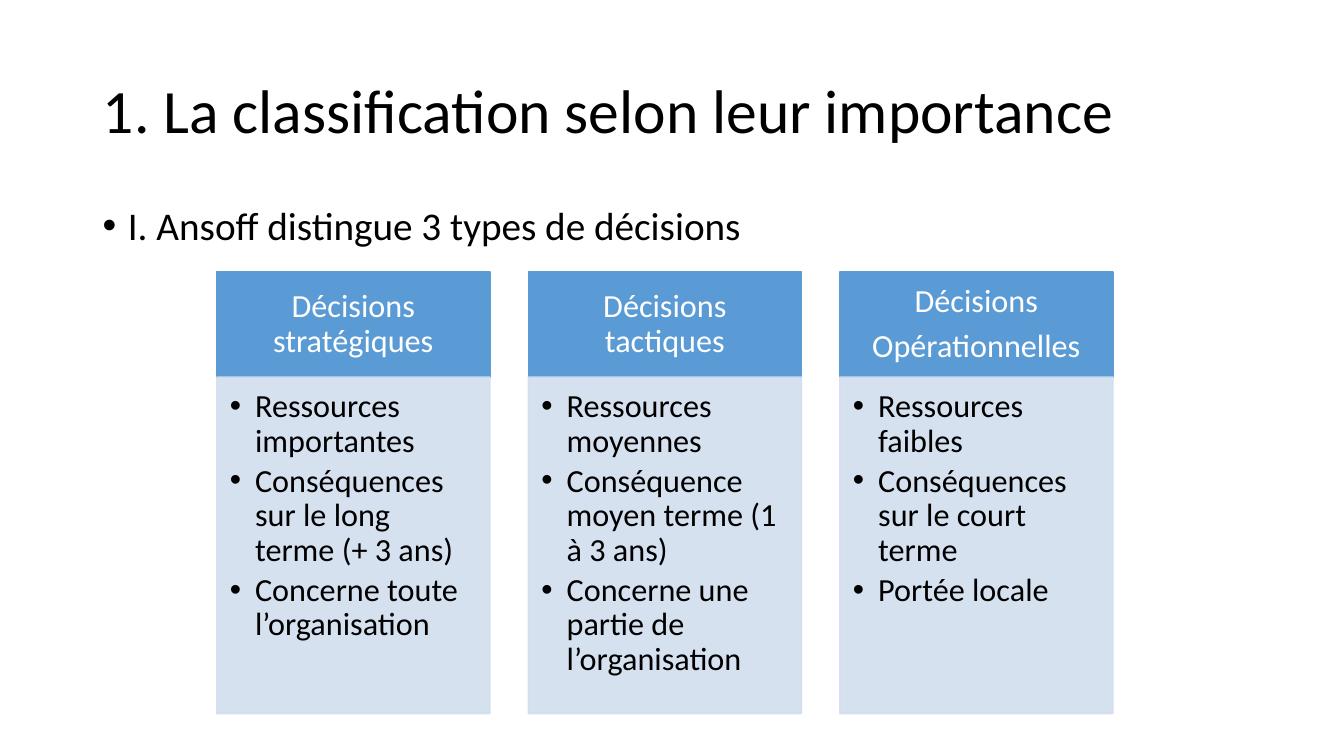
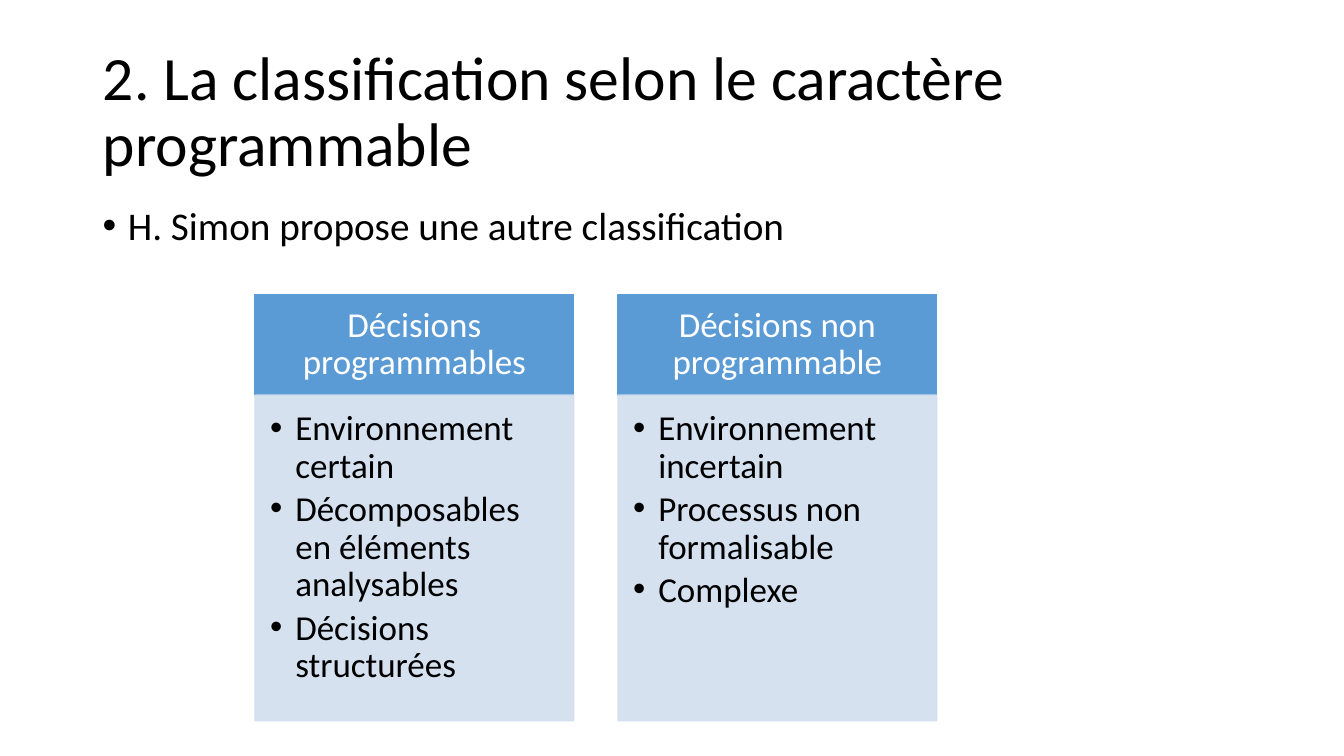
from dataclasses import dataclass

from lxml.etree import SubElement
from pptx import Presentation
from pptx.dml.color import RGBColor
from pptx.dml.fill import FillFormat
from pptx.enum.shapes import MSO_SHAPE as Shape
from pptx.enum.text import MSO_ANCHOR as Anchor, MSO_AUTO_SIZE as AutoSize, PP_ALIGN as Align
from pptx.oxml.ns import qn
from pptx.presentation import Presentation as PresentationType
from pptx.slide import Slide
from pptx.text.text import TextFrame, _Paragraph as Paragraph
from pptx.util import Inches, Pt

COLORS = {"text": "000000", "header": "5B9BD5", "header_text": "FFFFFF", "body": "D2DEEF"}
FONT = "Calibri"
LINE_SPACING = 0.9
BULLET_INDENT = 0.25
BODY_OPACITY = 90
LEFT, WIDTH = 0.92, 11.5


@dataclass(frozen=True)
class Column:
    header: list[str]
    points: list[str]


@dataclass(frozen=True)
class Grid:
    left: float
    top: float
    pitch: float
    width: float
    header_height: float
    body_height: float
    font_size: int
    header_insets: tuple[float, float, float, float]
    body_insets: tuple[float, float, float, float]


@dataclass(frozen=True)
class Topic:
    title: str
    statement: str
    grid: Grid
    columns: list[Column]


TOPICS = [
    Topic(
        "1. La classification selon leur importance",
        "I. Ansoff distingue 3 types de décisions",
        Grid(2.15, 2.7, 3.09, 2.71, 1.04, 3.34, 23,
             (0.18, 0.1, 0.18, 0.1), (0.13, 0.13, 0.18, 0.2)),
        [
            Column(["Décisions stratégiques"],
                   ["Ressources importantes", "Conséquences sur le long terme (+ 3 ans)",
                    "Concerne toute l’organisation"]),
            Column(["Décisions tactiques"],
                   ["Ressources moyennes", "Conséquence moyen terme (1 à 3 ans)",
                    "Concerne une partie de l’organisation"]),
            Column(["Décisions", "Opérationnelles"],
                   ["Ressources faibles", "Conséquences sur le court terme", "Portée locale"]),
        ],
    ),
    Topic(
        "2. La classification selon le caractère programmable",
        "H. Simon propose une autre classification",
        Grid(2.53, 2.92, 3.6, 3.16, 1, 3.23, 25,
             (0.19, 0.11, 0.19, 0.11), (0.15, 0.15, 0.19, 0.22)),
        [
            Column(["Décisions programmables"],
                   ["Environnement certain", "Décomposables en éléments analysables",
                    "Décisions structurées"]),
            Column(["Décisions non programmable"],
                   ["Environnement incertain", "Processus non formalisable", "Complexe"]),
        ],
    ),
]


def add_bullet(paragraph: Paragraph) -> None:
    properties = paragraph._p.get_or_add_pPr()
    properties.set("marL", str(Inches(BULLET_INDENT)))
    properties.set("indent", str(-Inches(BULLET_INDENT)))
    SubElement(properties, qn("a:buFont")).set("typeface", "Arial")
    SubElement(properties, qn("a:buChar")).set("char", "•")


def write_paragraphs(frame: TextFrame, texts: list[str], size: int, color: str = "text",
                     align: Align = Align.LEFT, bullet: bool = False,
                     space_after: float = 0) -> None:
    frame.word_wrap = True
    frame.auto_size = AutoSize.NONE
    for index, text in enumerate(texts):
        paragraph = frame.add_paragraph() if index else frame.paragraphs[0]
        paragraph.text = text
        if bullet:
            add_bullet(paragraph)
        paragraph.alignment = align
        paragraph.line_spacing = LINE_SPACING
        paragraph.space_before = Pt(0)
        paragraph.space_after = Pt(round(size * space_after, 1))
        paragraph.font.name = FONT
        paragraph.font.size = Pt(size)
        paragraph.font.color.rgb = RGBColor.from_string(COLORS[color])


def apply_color(fill: FillFormat, color: str, opacity: int) -> None:
    fill.solid()
    fill.fore_color.rgb = RGBColor.from_string(COLORS[color])
    if opacity < 100:
        color_element = fill._xPr.find(qn("a:solidFill"))[0]
        SubElement(color_element, qn("a:alpha")).set("val", str(opacity * 1000))


def add_panel(slide: Slide, left: float, top: float, width: float, height: float, color: str,
              insets: tuple[float, float, float, float], anchor: Anchor,
              opacity: int = 100) -> TextFrame:
    shape = slide.shapes.add_shape(Shape.RECTANGLE, Inches(left), Inches(top),
                                   Inches(width), Inches(height))
    shape.shadow.inherit = False
    shape.line.width = Pt(1)
    for fill in (shape.fill, shape.line.fill):
        apply_color(fill, color, opacity)
    frame = shape.text_frame
    frame.vertical_anchor = anchor
    (frame.margin_left, frame.margin_top,
     frame.margin_right, frame.margin_bottom) = map(Inches, insets)
    return frame


def add_column(slide: Slide, grid: Grid, index: int, column: Column) -> None:
    left = grid.left + index * grid.pitch
    header = add_panel(slide, left, grid.top, grid.width, grid.header_height, "header",
                       grid.header_insets, Anchor.MIDDLE)
    write_paragraphs(header, column.header, grid.font_size, "header_text", Align.CENTER,
                     space_after=0.35)
    body = add_panel(slide, left, grid.top + grid.header_height, grid.width, grid.body_height,
                     "body", grid.body_insets, Anchor.TOP, BODY_OPACITY)
    write_paragraphs(body, column.points, grid.font_size, bullet=True, space_after=0.15)


def add_topic(presentation: PresentationType, topic: Topic) -> None:
    slide = presentation.slides.add_slide(presentation.slide_layouts[5])
    title = slide.shapes.title
    title.left, title.top = Inches(LEFT), Inches(0.4)
    title.width, title.height = Inches(WIDTH), Inches(1.45)
    title.text_frame.vertical_anchor = Anchor.MIDDLE
    write_paragraphs(title.text_frame, [topic.title], 44)
    statement = slide.shapes.add_textbox(Inches(LEFT), Inches(2), Inches(WIDTH), Inches(0.6))
    write_paragraphs(statement.text_frame, [topic.statement], 28, bullet=True)
    for index, column in enumerate(topic.columns):
        add_column(slide, topic.grid, index, column)


def main() -> None:
    presentation = Presentation()
    presentation.slide_width = Inches(13.33)
    presentation.slide_height = Inches(7.5)
    for topic in TOPICS:
        add_topic(presentation, topic)
    presentation.save("out.pptx")


if __name__ == "__main__":
    main()
